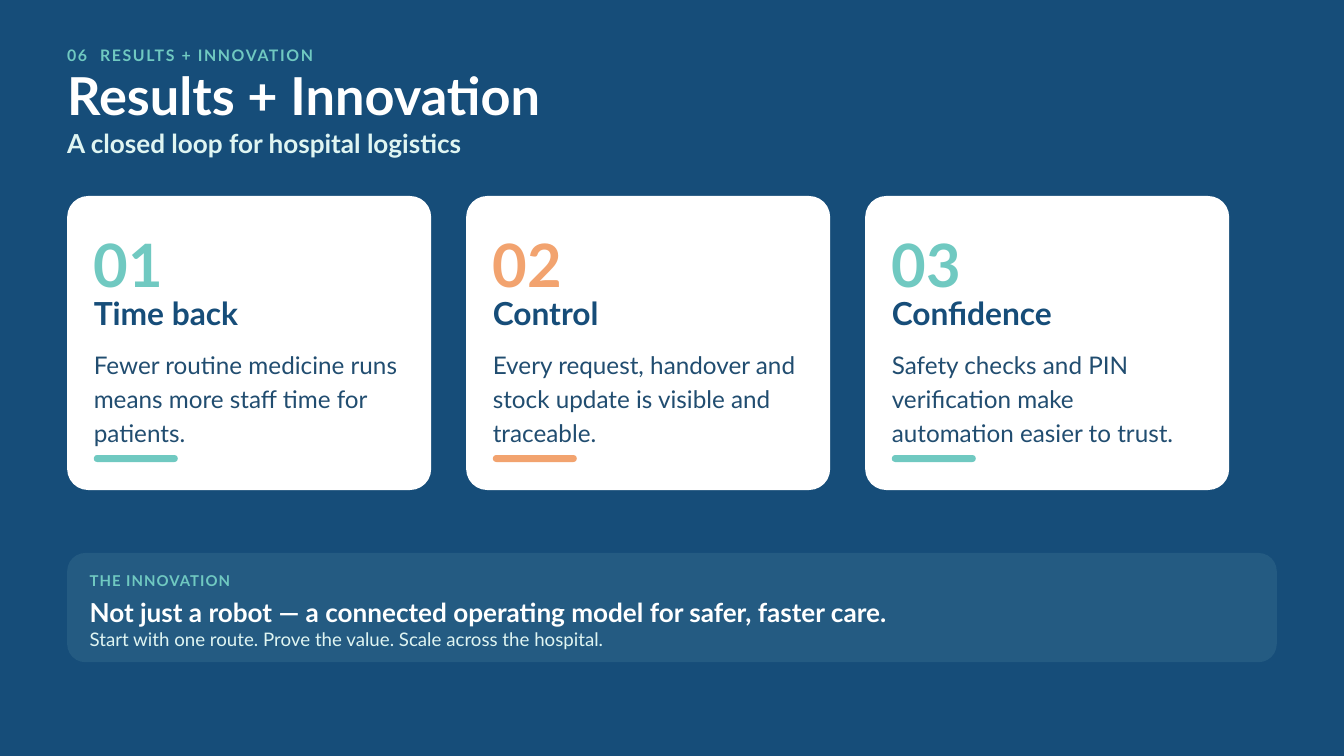
"""Build the results and innovation slide on a 1920 by 1080 grid."""
from lxml import etree
from pptx import Presentation
from pptx import util as u
from pptx.dml.color import RGBColor
from pptx.enum import shapes, text
from pptx.oxml.ns import qn

NAVY = RGBColor(0x16, 0x4D, 0x79)
SLATE = RGBColor(0x21, 0x4D, 0x70)
PANEL = RGBColor(0x24, 0x5B, 0x82)
TEAL = RGBColor(0x70, 0xC9, 0xC1)
ORANGE = RGBColor(0xF2, 0xA3, 0x6F)
MINT = RGBColor(0xDF, 0xF5, 0xF2)
WHITE = RGBColor(0xFF, 0xFF, 0xFF)

prs = Presentation()
prs.slide_width, prs.slide_height = u.Inches(20), u.Inches(11.25)
COL, ROW = prs.slide_width / 1920, prs.slide_height / 1080
MARGIN, INSET = 96, 38
CARD_W, CARD_H, CARD_TOP, PITCH = 520, 420, 280, 570


def write(box, words, size, color, bold=True, spacing=0, sp=None):
    x, y, w, h = box
    place = int(x * COL), int(y * ROW), int(w * COL), int(h * ROW)
    sp = sp or s.shapes.add_textbox(*place)
    sp.left, sp.top, sp.width, sp.height = place
    tf = sp.text_frame
    tf.text = words
    tf.word_wrap = True
    tf.auto_size = text.MSO_AUTO_SIZE.SHAPE_TO_FIT_TEXT
    tf.vertical_anchor = text.MSO_ANCHOR.TOP
    tf.margin_left = tf.margin_right = tf.margin_top = tf.margin_bottom = 0
    p = tf.paragraphs[0]
    p.alignment = text.PP_ALIGN.LEFT
    p.line_spacing = u.Pt(size * 1.4)
    r = p.runs[0]
    r.font.name, r.font.size, r.font.bold = "Lato", u.Pt(size), bold
    r.font.color.rgb = color
    if spacing:
        r.font._element.set("spc", str(int(spacing * 100)))
    return p


def rounded(x, y, w, h, radius, color):
    sp = s.shapes.add_shape(shapes.MSO_SHAPE.ROUNDED_RECTANGLE,
                            int(x * COL), int(y * ROW), int(w * COL), int(h * ROW))
    sp.adjustments[0] = radius / min(w, h)
    sp.shadow.inherit = False
    sp.fill.solid()
    sp.fill.fore_color.rgb = color
    sp.line.fill.background()


s = prs.slides.add_slide(prs.slide_layouts[5])
s.background.fill.solid()
s.background.fill.fore_color.rgb = NAVY

p = write((MARGIN, 61, 600, 30), "06\tRESULTS + INNOVATION", 17, TEAL, spacing=1.7)
tabs = etree.SubElement(p._p.get_or_add_pPr(), qn("a:tabLst"))
etree.SubElement(tabs, qn("a:tab"), pos=str(int(47 * COL)), algn="l")
write((MARGIN, 76, 1200, 101), "Results + Innovation", 56, WHITE, sp=s.shapes.title)
write((MARGIN, 174, 900, 51), "A closed loop for hospital logistics", 28, MINT)

cards = [
    ("Time back", "Fewer routine medicine runs means more staff time for patients.", TEAL),
    ("Control", "Every request, handover and stock update is visible and traceable.", ORANGE),
    ("Confidence", "Safety checks and PIN verification make automation easier to trust.", TEAL),
]
for i, (heading, body, accent) in enumerate(cards):
    left = MARGIN + i * PITCH
    x = left + INSET
    inner = CARD_W - 2 * INSET - 4
    rounded(left, CARD_TOP, CARD_W, CARD_H, 30, WHITE)
    write((x, CARD_TOP + 29, 170, 115), f"{i + 1:02}", 64, accent)
    write((x, CARD_TOP + 131, inner, 60), heading, 34, NAVY)
    write((x, CARD_TOP + 214, inner, 143), body, 26, SLATE, bold=False)
    rounded(x, CARD_TOP + 370, 120, 10, 5, accent)

panel_w = 1920 - 2 * MARGIN
x = MARGIN + 32
rounded(MARGIN, 790, panel_w, 156, 26, PANEL)
write((x, 812, 250, 29), "THE INNOVATION", 16, TEAL, spacing=1.1)
write((x, 844, panel_w - 64, 51),
      "Not just a robot — a connected operating model for safer, faster care.", 28, WHITE)
write((x, 891, panel_w - 64, 37),
      "Start with one route. Prove the value. Scale across the hospital.", 20, MINT, bold=False)

prs.save("out.pptx")
